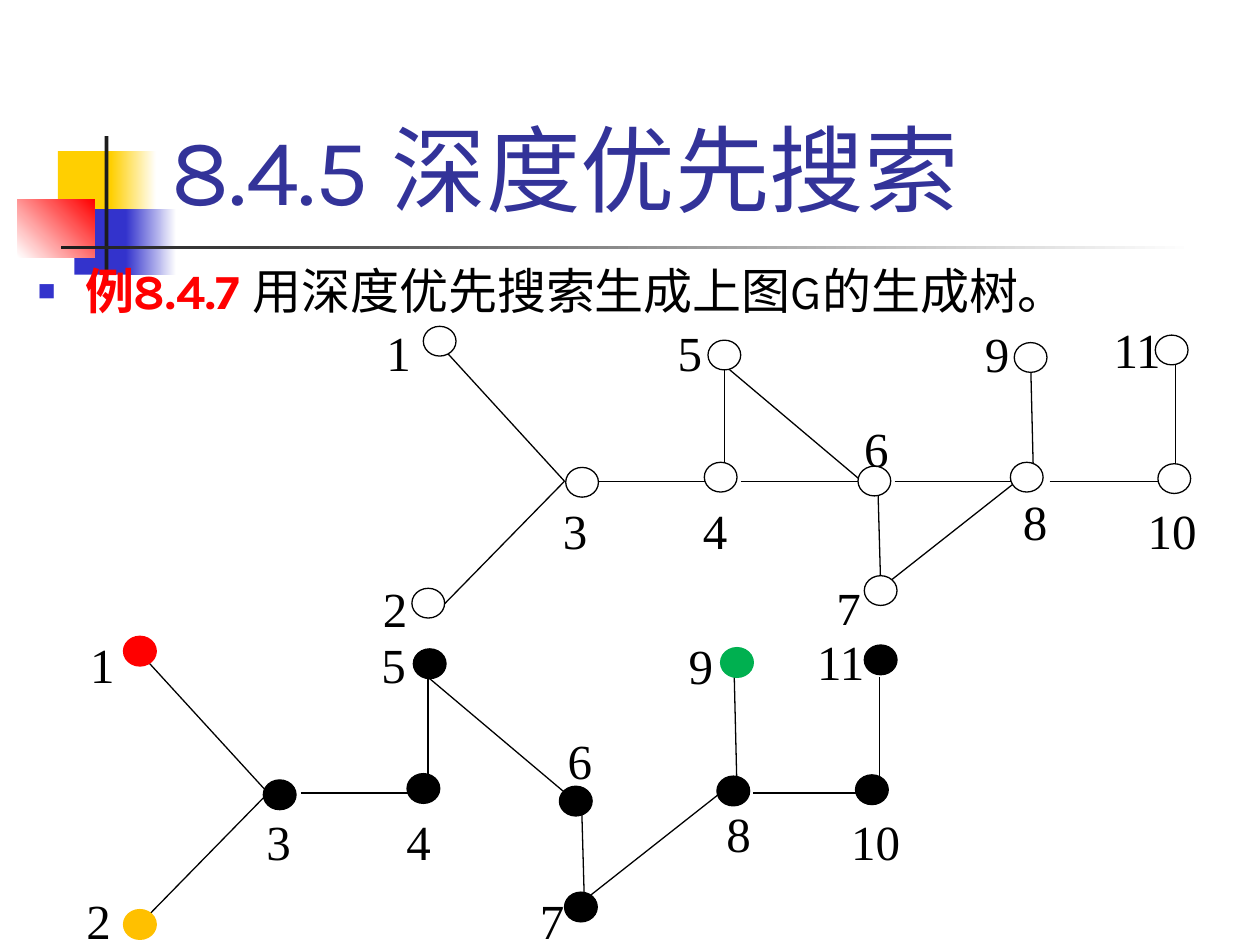
"""Build the slide on spanning trees found by depth-first search."""
import dataclasses
import typing

import lxml.etree
import pptx
import pptx.dml.color
import pptx.enum.shapes
import pptx.enum.text
import pptx.oxml.ns
import pptx.util

Pt = pptx.util.Pt
Shapes = pptx.enum.shapes.MSO_SHAPE
Point = typing.Tuple[float, float]


@dataclasses.dataclass(frozen=True)
class Theme:
    black: str = "000000"
    white: str = "FFFFFF"
    red: str = "FF0000"
    gold: str = "FFCF01"
    blue: str = "3333CC"
    ink: str = "1C1C1C"
    title: str = "333399"
    green: str = "00B050"
    amber: str = "FFC000"
    heading_font: str = "Karla"
    label_font: str = "Times New Roman"
    title_size: float = 54
    text_size: float = 28
    line_width: float = 0.75


THEME = Theme()
NODE_SIZE = (18.7, 17)
LABEL_SIZE = (62.6, 49.7)
AXIS = 275
TREE_OFFSET = (-169.4, 178.2)


class Block(typing.NamedTuple):
    left: float
    top: float
    width: float
    height: float
    start: str
    end: typing.Optional[str] = None
    angle: float = 0


class Label(typing.NamedTuple):
    text: str
    left: float
    top: float


class Edge(typing.NamedTuple):
    start: Point
    end: Point
    in_tree: bool = True


class Node(typing.NamedTuple):
    left: float
    top: float
    fill: str = THEME.black


BLOCKS = [
    Block(33.1, 86.4, 34.6, 37.4, THEME.gold),
    Block(63.4, 86.4, 25.9, 37.4, THEME.gold, THEME.white),
    Block(42.5, 119.5, 33.1, 37.4, THEME.blue),
    Block(72, 119.5, 28.8, 37.4, THEME.blue, THEME.white),
    Block(10.1, 113.8, 43.9, 33.1, THEME.white, THEME.red, 45),
    Block(59.8, 77.8, 2.2, 82.8, THEME.ink),
    Block(34.6, 140.4, 648, 2.2, THEME.ink, THEME.white),
]
LABELS = [
    Label("7", 470.9, 326.9), Label("2", 211.7, 326.9), Label("10", 648.7, 282.2),
    Label("8", 577.4, 277.2), Label("6", 486.7, 235.4), Label("4", 394.6, 282.2),
    Label("3", 314.6, 282.2), Label("11", 629.3, 179.3), Label("9", 555.8, 181.4),
    Label("5", 380.2, 180.7), Label("1", 213.8, 180.7),
]
EDGES = [
    Edge((341.3, AXIS), (404.6, AXIS)),
    Edge((423.4, AXIS), (492.5, AXIS), in_tree=False),
    Edge((511.2, AXIS), (581, AXIS), in_tree=False),
    Edge((599.8, AXIS), (662.4, AXIS)),
    Edge((414, 208.8), (414, 266.4)),
    Edge((254.2, 200.2), (322.6, AXIS)),
    Edge((322.6, AXIS), (254.2, 344.9)),
    Edge((414, 208.8), (492.5, AXIS)),
    Edge((501.8, 283), (503.3, 336.2)),
    Edge((503.3, 336.2), (581, AXIS)),
    Edge((589, 208.8), (590.4, 266.4)),
    Edge((671.8, 208.8), (671.8, 266.4)),
]
GRAPH_NODES = [
    Node(left, top, THEME.white) for left, top in [
        (241.9, 186.5), (235.4, 336.2), (323.3, 267.1), (402.5, 264.2),
        (404.6, 194.4), (490.3, 266.4), (493.9, 329), (577.4, 264.2),
        (579.6, 195.8), (661.7, 265), (660.2, 191.5)]
]
TREE_NODES = [
    Node(70.6, 363.6, THEME.red), Node(70.6, 519.8, THEME.amber),
    Node(150.5, 445.7), Node(232.6, 442.1), Node(236.2, 370.8),
    Node(319.7, 449.3), Node(322.6, 509.8), Node(409.7, 443.5),
    Node(411.8, 370.1, THEME.green), Node(488.9, 442.8), Node(493.9, 368.6),
]


def rgb(color: str) -> pptx.dml.color.RGBColor:
    return pptx.dml.color.RGBColor.from_string(color)


def add_text(paragraph, text: str, *, size: float, color: str, font: str, bold: bool = False) -> None:
    run = paragraph.add_run()
    run.text = text
    run.font.size = Pt(size)
    run.font.name = font
    run.font.bold = bold
    run.font.color.rgb = rgb(color)


def add_filled_shape(shapes, kind, position: Point, size: Point, fill: str,
                     line: typing.Optional[str] = None):
    shape = shapes.add_shape(kind, *(Pt(value) for value in (*position, *size)))
    shape.shadow.inherit = False
    shape.fill.solid()
    shape.fill.fore_color.rgb = rgb(fill)
    if line is None:
        shape.line.fill.background()
    else:
        shape.line.color.rgb = rgb(line)
        shape.line.width = Pt(THEME.line_width)
    return shape


def draw_block(shapes, block: Block) -> None:
    shape = add_filled_shape(shapes, Shapes.RECTANGLE, (block.left, block.top),
                             (block.width, block.height), block.start)
    if block.end is not None:
        shape.fill.gradient()
        shape.fill.gradient_angle = block.angle
        for stop, color, position in zip(shape.fill.gradient_stops, (block.start, block.end), (0, 1)):
            stop.color.rgb = rgb(color)
            stop.position = position


def draw_label(shapes, label: Label, offset: Point) -> None:
    position = (label.left + offset[0], label.top + offset[1])
    shape = add_filled_shape(shapes, Shapes.RECTANGLE, position, LABEL_SIZE, THEME.white, THEME.white)
    shape.text_frame.word_wrap = True
    shape.text_frame.vertical_anchor = pptx.enum.text.MSO_ANCHOR.TOP
    paragraph = shape.text_frame.paragraphs[0]
    paragraph.alignment = pptx.enum.text.PP_ALIGN.LEFT
    add_text(paragraph, label.text, size=THEME.text_size, color=THEME.black, font=THEME.label_font)


def draw_edge(shapes, edge: Edge, offset: Point) -> None:
    ends = [Pt(point[axis] + offset[axis]) for point in (edge.start, edge.end) for axis in (0, 1)]
    connector = shapes.add_connector(pptx.enum.shapes.MSO_CONNECTOR.STRAIGHT, *ends)
    connector.line.color.rgb = rgb(THEME.black)
    connector.line.width = Pt(THEME.line_width)
    lxml.etree.SubElement(connector._element.spPr, pptx.oxml.ns.qn("a:effectLst"))


def draw_graph(slide, nodes: typing.List[Node], edges: typing.List[Edge], offset: Point = (0, 0)) -> None:
    group = slide.shapes.add_group_shape()
    for label in LABELS:
        draw_label(group.shapes, label, offset)
    for edge in edges:
        draw_edge(group.shapes, edge, offset)
    for node in nodes:
        line = THEME.black if node.fill == THEME.white else node.fill
        add_filled_shape(slide.shapes, Shapes.OVAL, (node.left, node.top), NODE_SIZE, node.fill, line)


def place_text(slide, placeholder, bounds: typing.Tuple[float, ...], anchor):
    placeholder.left, placeholder.top, placeholder.width, placeholder.height = map(Pt, bounds)
    slide.shapes._spTree.append(placeholder._element)
    frame = placeholder.text_frame
    frame.word_wrap = True
    frame.auto_size = pptx.enum.text.MSO_AUTO_SIZE.NONE
    frame.vertical_anchor = anchor
    paragraph = frame.paragraphs[0]
    paragraph.alignment = pptx.enum.text.PP_ALIGN.LEFT
    paragraph.space_before = Pt(0)
    return paragraph


def add_bullet(paragraph, indent: float) -> None:
    qn = pptx.oxml.ns.qn
    properties = paragraph._p.get_or_add_pPr()
    properties.set("marL", str(Pt(indent)))
    properties.set("indent", str(Pt(-indent)))
    color = lxml.etree.SubElement(properties, qn("a:buClr"))
    lxml.etree.SubElement(color, qn("a:srgbClr"), val=THEME.blue)
    lxml.etree.SubElement(properties, qn("a:buSzPct"), val="60000")
    lxml.etree.SubElement(properties, qn("a:buChar"), char="■")


def main() -> None:
    presentation = pptx.Presentation()
    presentation.slide_width, presentation.slide_height = Pt(720), Pt(540)
    slide = presentation.slides.add_slide(presentation.slide_layouts[1])
    title, body = slide.shapes.title, slide.placeholders[1]
    for block in BLOCKS:
        draw_block(slide.shapes, block)

    anchors = pptx.enum.text.MSO_ANCHOR
    heading = place_text(slide, title, (90.7, 16.6, 613.4, 115.2), anchors.BOTTOM)
    add_text(heading, "8.4.5 深度优先搜索", size=THEME.title_size, color=THEME.title, font=THEME.heading_font)
    example = place_text(slide, body, (14.4, 145.4, 705.6, 394.6), anchors.TOP)
    add_bullet(example, 27)
    add_text(example, "例8.4.7 ", size=THEME.text_size, color=THEME.red, font=THEME.heading_font, bold=True)
    add_text(example, "用深度优先搜索生成上图G的生成树。", size=THEME.text_size,
             color=THEME.black, font=THEME.heading_font)

    draw_graph(slide, GRAPH_NODES, EDGES)
    draw_graph(slide, TREE_NODES, [edge for edge in EDGES if edge.in_tree], TREE_OFFSET)
    presentation.save("out.pptx")


if __name__ == "__main__":
    main()
